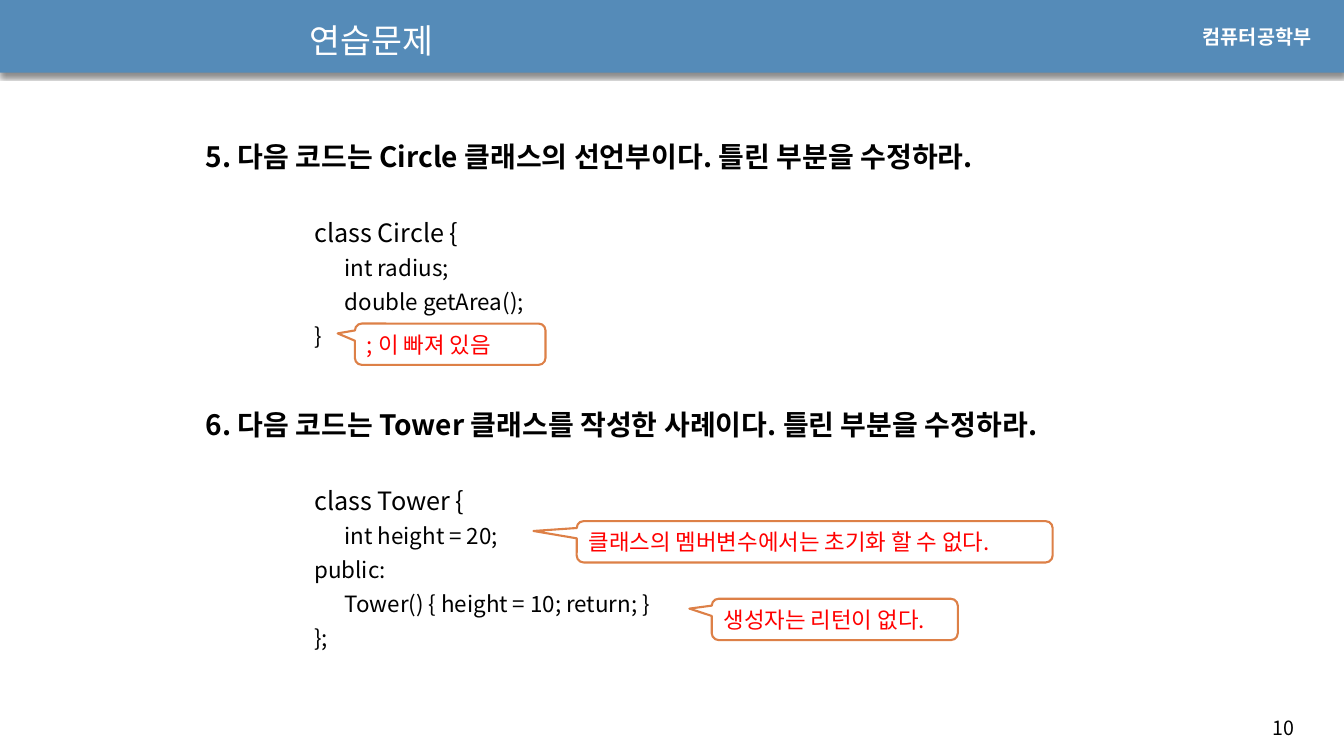
from lxml import etree
from pptx import Presentation
from pptx import util as u
from pptx.dml.color import RGBColor
from pptx.enum import shapes, text
from pptx.oxml.ns import qn

COLORS = {"bar": "558BB8", "white": "FFFFFF", "black": "000000",
          "answer": "FF0000", "border": "DD8047"}


class Slide:
    font = "Noto Sans CJK KR"

    def __init__(self, prs):
        self.s = prs.slides.add_slide(prs.slide_layouts[6])

    def color(self, name):
        return RGBColor.from_string(COLORS[name])

    def style(self, p, size, color, bold=False, font=None):
        p.font.size, p.font.bold = u.Pt(size), bold
        p.font.name = font or self.font
        p.font.color.rgb = self.color(color)
        rpr = p._p.pPr.find(qn("a:defRPr"))
        etree.SubElement(rpr, qn("a:ea"), typeface=font or self.font)

    def shape(self, kind, box, fill):
        sp = self.s.shapes.add_shape(kind, *map(u.Inches, box))
        sp.shadow.inherit = False
        sp.fill.solid()
        sp.fill.fore_color.rgb = self.color(fill)
        sp.line.fill.background()
        return sp

    def bar(self, box):
        sp = self.shape(shapes.MSO_SHAPE.RECTANGLE, box, "bar")
        effects = sp._element.spPr.find(qn("a:effectLst"))
        shadow = etree.SubElement(
            effects, qn("a:outerShdw"), blurRad=str(u.Pt(3)),
            dist=str(u.Pt(2.4)), dir="5400000", rotWithShape="0")
        rgb = etree.SubElement(shadow, qn("a:srgbClr"), val=COLORS["black"])
        etree.SubElement(rgb, qn("a:alpha"), val="45000")

    def frame(self, box):
        tf = self.s.shapes.add_textbox(*map(u.Inches, box)).text_frame
        tf.word_wrap = True
        return tf

    def label(self, box, words, size, color, **style):
        tf = self.frame(box)
        tf.vertical_anchor = text.MSO_ANCHOR.MIDDLE
        p = tf.paragraphs[0]
        p.text = words
        self.style(p, size, color, **style)

    def exercise(self, top, height, question, code):
        tf = self.frame((1.94, top, 10.95, height))
        p = tf.paragraphs[0]
        p.text = question
        p.space_after = u.Pt(31.6)
        self.style(p, 20, "black", bold=True)
        for i, (indent, line) in enumerate(code):
            p = tf.add_paragraph()
            p.text = line
            p.space_after = u.Pt(5)
            self.style(p, 16 if i else 18, "black")
            p._p.pPr.set("marL", str(u.Inches(1.08 + 0.3 * indent)))
            p._p.pPr.set("indent", "0")

    def callout(self, left, top, width, words):
        sp = self.shape(shapes.MSO_SHAPE.ROUNDED_RECTANGULAR_CALLOUT,
                        (left, top, width, 0.41), "white")
        for i, value in enumerate((-0.591, -0.261, 0.167)):
            sp.adjustments[i] = value
        sp.line.color.rgb = self.color("border")
        sp.line.width = u.Pt(1.5)
        tf = sp.text_frame
        tf.word_wrap = True
        tf.vertical_anchor = text.MSO_ANCHOR.MIDDLE
        p = tf.paragraphs[0]
        p.text = words
        p.alignment = text.PP_ALIGN.LEFT
        self.style(p, 16, "answer")


def main():
    prs = Presentation()
    prs.slide_width, prs.slide_height = u.Inches(13.33), u.Inches(7.5)
    s = Slide(prs)
    s.bar((0, -0.01, 13.33, 0.73))
    s.label((12.52, 7.05, 0.71, 0.34), "10", 14, "black")
    s.label((11.83, 0.19, 1.37, 0.34), "컴퓨터공학부", 14, "white",
            bold=True, font="Arial")
    s.label((2.97, 0.08, 2.05, 0.63), "연습문제", 24, "white")
    s.exercise(1.33, 2.29,
               "5. 다음 코드는 Circle 클래스의 선언부이다. 틀린 부분을 수정하라.",
               [(0, "class Circle {"), (1, "int radius;"),
                (1, "double getArea();"), (0, "}")])
    s.callout(3.52, 3.21, 1.89, "; 이 빠져 있음")
    s.exercise(3.99, 2.6,
               "6. 다음 코드는 Tower 클래스를 작성한 사례이다. 틀린 부분을 수정하라.",
               [(0, "class Tower {"), (1, "int height = 20;"), (0, "public:"),
                (1, "Tower() { height = 10; return; }"), (0, "};")])
    s.callout(5.72, 5.17, 4.72, "클래스의 멤버변수에서는 초기화 할 수 없다.")
    s.callout(7.06, 5.94, 2.44, "생성자는 리턴이 없다.")
    prs.save("out.pptx")


if __name__ == "__main__":
    main()
